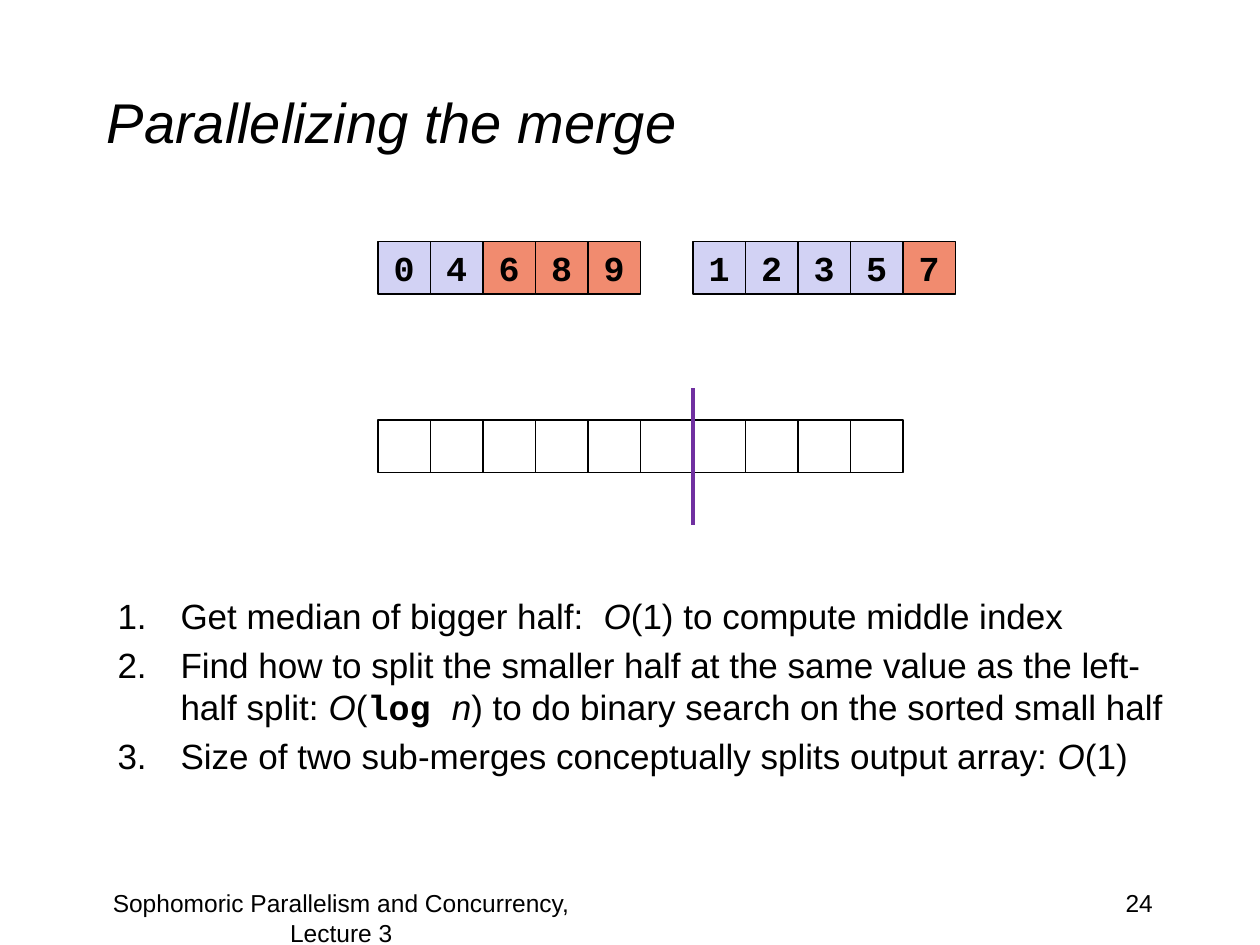
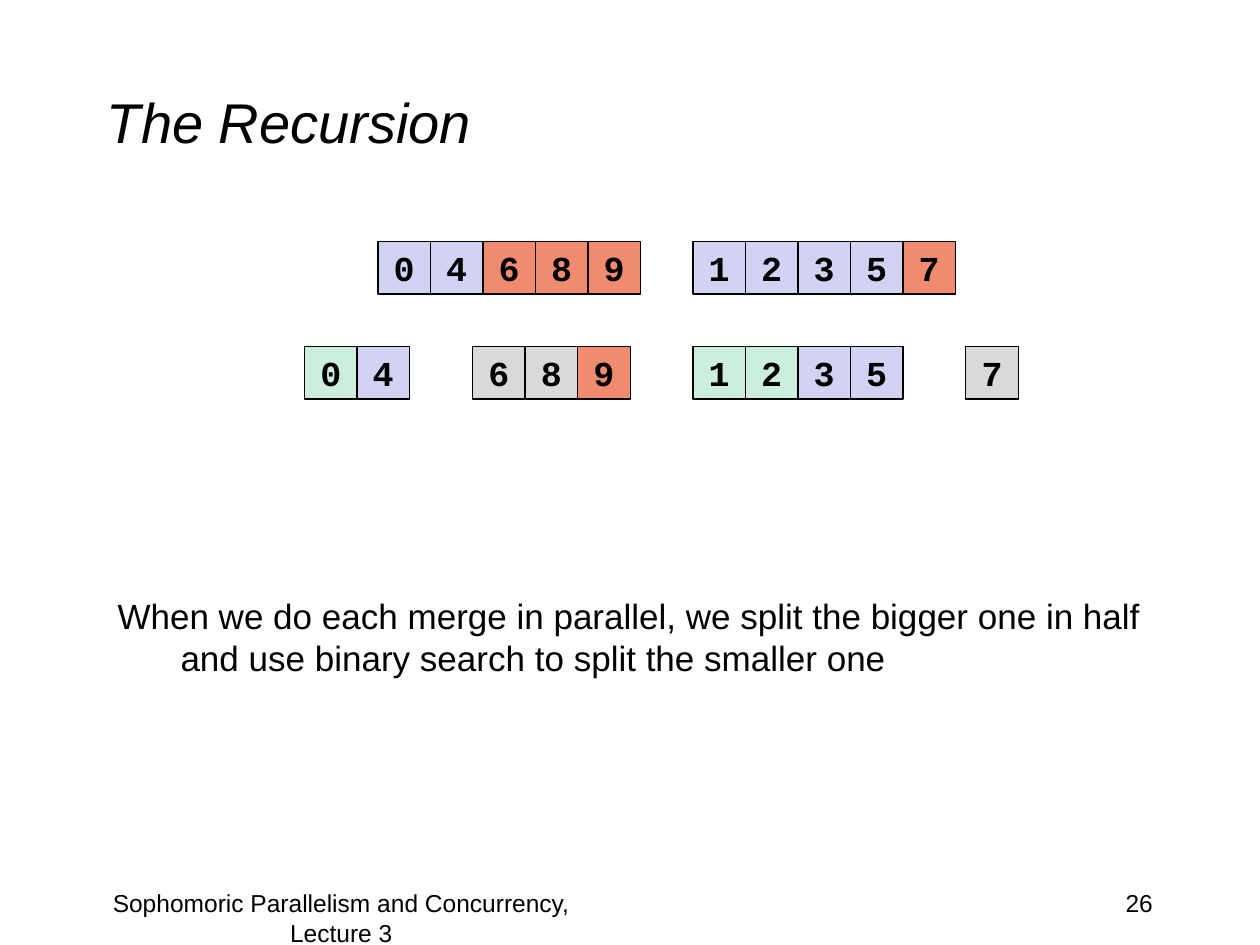
from dataclasses import dataclass
from typing import Any

from lxml import etree
from pptx import Presentation
from pptx.dml.color import RGBColor
from pptx.enum import shapes, text
from pptx.oxml import ns
from pptx.util import Cm, Pt

BLACK = RGBColor(0x00, 0x00, 0x00)
WHITE = RGBColor(0xFF, 0xFF, 0xFF)
PURPLE = RGBColor(0x70, 0x30, 0xA0)
FILLS = {
    "b": RGBColor(0xD2, 0xD2, 0xF4),
    "r": RGBColor(0xF1, 0x8B, 0x6F),
    "g": RGBColor(0xCC, 0xEE, 0xDF),
    "s": RGBColor(0xD9, 0xD9, 0xD9),
}
WIDE, HIGH = Cm(25.4), Cm(19.05)
CELL = WIDE / 24
ALIGN = text.PP_ALIGN

PLAIN = {"name": "Arial", "size": Pt(20), "bold": False, "italic": False}
SLANT = PLAIN | {"italic": True}
CODE = PLAIN | {"name": "Courier New", "bold": True}
TITLE = SLANT | {"size": Pt(32)}
SMALL = PLAIN | {"size": Pt(14)}

Run = tuple[str, dict[str, Any]]


@dataclass
class Row:
    left: float
    top: float
    count: int
    digits: str = ""
    tints: str = ""


@dataclass
class Page:
    title: str
    number: str
    rows: list[Row]
    lines: list[list[Run]]
    width: float
    listed: bool = False
    split: bool = False


def format_all(item: Any, values: dict[str, Any]) -> None:
    for key, value in values.items():
        setattr(item, key, value)


def add_run(para: Any, words: str, style: dict[str, Any]) -> None:
    run = para.add_run()
    run.text = words
    format_all(run.font, style)
    run.font.color.rgb = BLACK


def add_box(slide: Any, left: float, top: float, width: float, height: float) -> Any:
    frame = slide.shapes.add_textbox(Cm(left), Cm(top), Cm(width), Cm(height)).text_frame
    frame.word_wrap = True
    return frame


def add_note(slide: Any, left: float, width: float, words: str, align: Any) -> None:
    para = add_box(slide, left, 17.78, width, 1.27).paragraphs[0]
    para.alignment = align
    add_run(para, words, SMALL)


def add_title(slide: Any, words: str) -> None:
    title = slide.shapes.title
    format_all(title, {"left": Cm(1.9), "top": Cm(0.85), "width": Cm(21.59), "height": Cm(3.18)})
    format_all(title.text_frame, {
        "vertical_anchor": text.MSO_ANCHOR.MIDDLE,
        "auto_size": text.MSO_AUTO_SIZE.NONE,
        "word_wrap": True,
    })
    para = title.text_frame.paragraphs[0]
    para.alignment = ALIGN.LEFT
    add_run(para, words, TITLE)


def add_row(slide: Any, row: Row) -> None:
    for i in range(row.count):
        left = round(Cm(row.left) + i * CELL)
        cell = slide.shapes.add_shape(
            shapes.MSO_SHAPE.RECTANGLE, left, Cm(row.top), round(CELL), round(CELL))
        cell.shadow.inherit = False
        cell.line.color.rgb = BLACK
        cell.line.width = Pt(0.75)
        if not row.digits:
            cell.fill.background()
            continue
        cell.fill.solid()
        cell.fill.fore_color.rgb = FILLS[row.tints[i]]
        format_all(cell.text_frame, {
            "word_wrap": False, "vertical_anchor": text.MSO_ANCHOR.MIDDLE})
        para = cell.text_frame.paragraphs[0]
        para.alignment = ALIGN.CENTER
        add_run(para, row.digits[i], CODE)


def add_lines(slide: Any, page: Page) -> None:
    frame = add_box(slide, 2.12, 11.85, page.width, 4.87)
    for i, runs in enumerate(page.lines):
        para = frame.add_paragraph() if i else frame.paragraphs[0]
        para.space_before = Pt(4)
        props = para._p.get_or_add_pPr()
        props.set("marL", str(Cm(1.27)))
        props.set("indent", str(-Cm(1.27)))
        if page.listed:
            etree.SubElement(props, ns.qn("a:buFont")).set("typeface", "+mj-lt")
            etree.SubElement(props, ns.qn("a:buAutoNum")).set("type", "arabicPeriod")
        for words, style in runs:
            add_run(para, words, style)


def add_split(slide: Any) -> None:
    line = slide.shapes.add_connector(
        shapes.MSO_CONNECTOR.STRAIGHT, Cm(13.97), Cm(7.83), Cm(13.97), Cm(10.58))
    line.line.color.rgb = PURPLE
    line.line.width = Pt(2.25)
    etree.SubElement(line._element.spPr, ns.qn("a:effectLst"))


def add_page(deck: Any, page: Page) -> None:
    slide = deck.slides.add_slide(deck.slide_layouts[5])
    slide.background.fill.solid()
    slide.background.fill.fore_color.rgb = WHITE
    add_title(slide, page.title)
    add_note(slide, 18.2, 5.29, page.number, ALIGN.RIGHT)
    add_note(slide, 1.27, 11.22, "Sophomoric Parallelism and Concurrency, Lecture 3", ALIGN.CENTER)
    for row in page.rows:
        add_row(slide, row)
    add_lines(slide, page)
    if page.split:
        add_split(slide)


HALVES = [Row(7.62, 4.87, 5, "04689", "bbrrr"), Row(13.97, 4.87, 5, "12357", "bbbbr")]
PARTS = [
    Row(6.14, 6.99, 2, "04", "gb"),
    Row(9.53, 6.99, 3, "689", "ssr"),
    Row(13.97, 6.99, 4, "1235", "ggbb"),
    Row(19.47, 6.99, 1, "7", "s"),
]
STEPS = [
    [("Get median of bigger half:  ", PLAIN), ("O", SLANT),
     ("(1) to compute middle index", PLAIN)],
    [("Find how to split the smaller half at the same value as the left-half split: ", PLAIN),
     ("O", SLANT), ("(", PLAIN), ("log ", CODE), ("n", SLANT),
     (") to do binary search on the sorted small half", PLAIN)],
    [("Size of two sub-merges conceptually splits output array: ", PLAIN), ("O", SLANT),
     ("(1)", PLAIN)],
]
CLAIM = [[("When we do each merge in parallel, we split the bigger one in half "
           "and use binary search to split the smaller one", PLAIN)]]
PAGES = [
    Page("Parallelizing the merge", "24", HALVES + [Row(7.62, 8.47, 10)], STEPS, 21.8,
         listed=True, split=True),
    Page("The Recursion", "26", HALVES + PARTS, CLAIM, 22.01),
]

deck = Presentation()
format_all(deck, {"slide_width": WIDE, "slide_height": HIGH})
for page in PAGES:
    add_page(deck, page)
deck.save("out.pptx")
